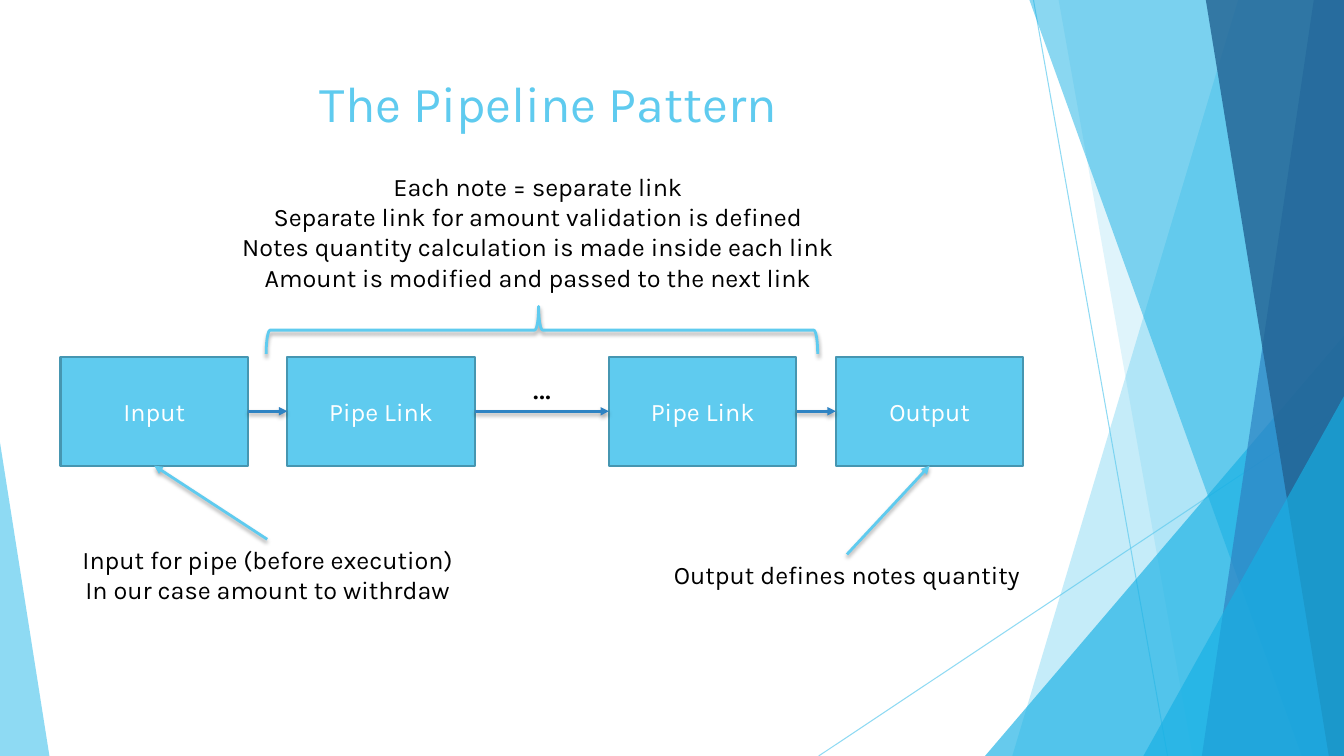
"""Build the slide that explains the pipeline pattern."""
from dataclasses import dataclass

from lxml.etree import SubElement
from pptx import Presentation
from pptx.dml.color import RGBColor
from pptx.enum.shapes import MSO_CONNECTOR as Connector, MSO_SHAPE as Shape
from pptx.enum.text import MSO_ANCHOR as Anchor, PP_ALIGN as Align
from pptx.oxml.ns import qn
from pptx.util import Inches, Pt

FONT = "Karla"
SKY = RGBColor(0x5F, 0xCB, 0xEF)
AZURE = RGBColor(0x17, 0xB0, 0xE4)
BLUE = RGBColor(0x2E, 0x83, 0xC3)
NAVY = RGBColor(0x22, 0x62, 0x92)
BOX_EDGE = RGBColor(0x46, 0x96, 0xB1)
WHITE = RGBColor(0xFF, 0xFF, 0xFF)
BLACK = RGBColor(0x00, 0x00, 0x00)

WIDTH, HEIGHT = 13.33, 7.5
BOX_TOP, BOX_WIDTH, BOX_HEIGHT = 3.54, 1.86, 1.08
BOTTOM_SITE, LEFT_SITE, RIGHT_SITE = 2, 1, 3


@dataclass
class Band:
    """A slanted band that reaches the right edge of the slide."""
    top_x: float
    bottom_x: float
    color: RGBColor
    opacity: int


@dataclass
class Corner:
    """A right triangle that stands on the bottom edge of the slide."""
    left: float
    top: float
    width: float
    apex: float
    color: RGBColor
    opacity: int


@dataclass
class Note:
    """A text box with one paragraph per line."""
    left: float
    top: float
    width: float
    height: float
    lines: tuple[str, ...]
    size: int = 18
    wrap: bool = True


RAYS = [(10.25, 0, 11.58, HEIGHT), (WIDTH, 4.03, 8.12, HEIGHT)]
DECORATION = [
    Band(12.28, 10.04, SKY, 36),
    Band(10.5, 11.83, SKY, 20),
    Corner(9.77, 3.33, 3.56, 1, AZURE, 66),
    Band(10.21, 12.91, AZURE, 50),
    Band(13.03, 11.92, BLUE, 70),
    Band(11.96, 13.18, NAVY, 80),
    Corner(11.34, 3.93, 1.99, 1, AZURE, 66),
    Corner(0, 4.39, 0.49, 0, SKY, 70),
]
STAGES = [("Input", 0.6), ("Pipe Link", 2.85), ("Pipe Link", 6.04), ("Output", 8.29)]
NOTES = [
    Note(5.15, 3.58, 0.45, 0.5, ("…",), 24, False),
    Note(0.68, 5.35, 3.95, 0.71, (
        "Input for pipe (before execution)",
        "In our case amount to withrdaw"), wrap=False),
    Note(2.28, 1.65, 6.11, 1.31, (
        "Each note = separate link",
        "Separate link for amount validation is defined",
        "Notes quantity calculation is made inside each link",
        "Amount is modified and passed to the next link")),
    Note(6.03, 5.5, 4.74, 0.4, ("Output defines notes quantity",)),
]


def set_opacity(shape, percent: int) -> None:
    """Make the first colour of a shape translucent."""
    color = next(shape.element.spPr.iter(qn("a:srgbClr")))
    SubElement(color, qn("a:alpha"), val=str(percent * 1000))


def add_shadow(shape) -> None:
    """Give a shape a soft shadow that falls straight down."""
    effects = SubElement(shape.element.spPr, qn("a:effectLst"))
    shadow = SubElement(effects, qn("a:outerShdw"), blurRad=str(Pt(3)),
                        dist=str(Pt(2)), dir="5400000", rotWithShape="0")
    color = SubElement(shadow, qn("a:srgbClr"), val=str(BLACK))
    SubElement(color, qn("a:alpha"), val="35000")


def format_text(text_frame, size: int, color: RGBColor) -> None:
    """Centre all paragraphs and format their runs."""
    for paragraph in text_frame.paragraphs:
        paragraph.alignment = Align.CENTER
        for run in paragraph.runs:
            run.font.name = FONT
            run.font.size = Pt(size)
            run.font.color.rgb = color


def add_line(slide, ends: tuple[float, ...], color: RGBColor, width: float):
    """Draw a straight line between two points."""
    line = slide.shapes.add_connector(Connector.STRAIGHT, *map(Inches, ends))
    line.line.color.rgb = color
    line.line.width = Pt(width)
    return line


def add_ray(slide, ends: tuple[float, ...]) -> None:
    """Draw a thin decorative line."""
    ray = add_line(slide, ends, SKY, 0.75)
    set_opacity(ray, 70)
    SubElement(ray.element.spPr, qn("a:effectLst"))


def add_arrow(slide, start: tuple[float, float], target, site: int,
              color: RGBColor):
    """Draw a shadowed arrow from a point to a side of a box."""
    arrow = add_line(slide, (*start, *start), color, 2)
    arrow.end_connect(target, site)
    SubElement(arrow.line._get_or_add_ln(), qn("a:tailEnd"), type="triangle")
    add_shadow(arrow)
    return arrow


def add_decoration(slide, part: Band | Corner) -> None:
    """Draw a translucent band or corner."""
    if isinstance(part, Band):
        builder = slide.shapes.build_freeform(Inches(part.top_x), 0)
        corners = [(WIDTH, 0), (WIDTH, HEIGHT), (part.bottom_x, HEIGHT)]
        builder.add_line_segments([(Inches(x), Inches(y)) for x, y in corners])
        shape = builder.convert_to_shape()
    else:
        shape = slide.shapes.add_shape(
            Shape.ISOSCELES_TRIANGLE, Inches(part.left), Inches(part.top),
            Inches(part.width), Inches(HEIGHT - part.top))
        shape.adjustments[0] = part.apex
    shape.shadow.inherit = False
    shape.fill.solid()
    shape.fill.fore_color.rgb = part.color
    shape.line.fill.background()
    set_opacity(shape, part.opacity)


def add_stage(slide, label: str, left: float):
    """Draw one box of the pipeline."""
    box = slide.shapes.add_shape(
        Shape.RECTANGLE, Inches(left), Inches(BOX_TOP),
        Inches(BOX_WIDTH), Inches(BOX_HEIGHT))
    box.shadow.inherit = False
    box.fill.solid()
    box.fill.fore_color.rgb = SKY
    box.line.color.rgb = BOX_EDGE
    box.line.width = Pt(1.5)
    box.text_frame.text = label
    box.text_frame.vertical_anchor = Anchor.MIDDLE
    format_text(box.text_frame, 18, WHITE)
    return box


def add_note(slide, note: Note) -> None:
    """Write an explanation beside the pipeline."""
    box = slide.shapes.add_textbox(
        Inches(note.left), Inches(note.top), Inches(note.width), Inches(note.height))
    box.text_frame.word_wrap = note.wrap
    box.text_frame.text = "\n".join(note.lines)
    format_text(box.text_frame, note.size, BLACK)


def add_brace(slide) -> None:
    """Draw the brace that spans the pipe links."""
    brace = slide.shapes.add_shape(
        Shape.LEFT_BRACE, Inches(5.14), Inches(0.54), Inches(0.47), Inches(5.47))
    brace.rotation = 90
    brace.adjustments[0], brace.adjustments[1] = 0.083, 0.506
    brace.fill.background()
    brace.line.color.rgb = SKY
    brace.line.width = Pt(2)
    add_shadow(brace)


def set_title(slide, text: str) -> None:
    """Fill and place the title placeholder."""
    title = slide.shapes.title
    title.left, title.top = Inches(0.74), Inches(0.67)
    title.width, title.height = Inches(9.4), Inches(1.44)
    title.text_frame.text = text
    title.text_frame.vertical_anchor = Anchor.TOP
    format_text(title.text_frame, 36, SKY)


def main() -> None:
    """Build and save the presentation."""
    presentation = Presentation()
    presentation.slide_width, presentation.slide_height = Inches(WIDTH), Inches(HEIGHT)
    slide = presentation.slides.add_slide(presentation.slide_layouts[5])
    for ends in RAYS:
        add_ray(slide, ends)
    for part in DECORATION:
        add_decoration(slide, part)
    set_title(slide, "The Pipeline Pattern")
    boxes = [add_stage(slide, label, left) for label, left in STAGES]
    for source, target in zip(boxes, boxes[1:]):
        arrow = add_arrow(slide, (0, 0), target, LEFT_SITE, BLUE)
        arrow.begin_connect(source, RIGHT_SITE)
    add_brace(slide)
    for note in NOTES:
        add_note(slide, note)
    add_arrow(slide, (2.65, 5.35), boxes[0], BOTTOM_SITE, SKY)
    add_arrow(slide, (8.4, 5.5), boxes[-1], BOTTOM_SITE, SKY)
    presentation.save("out.pptx")


main()
